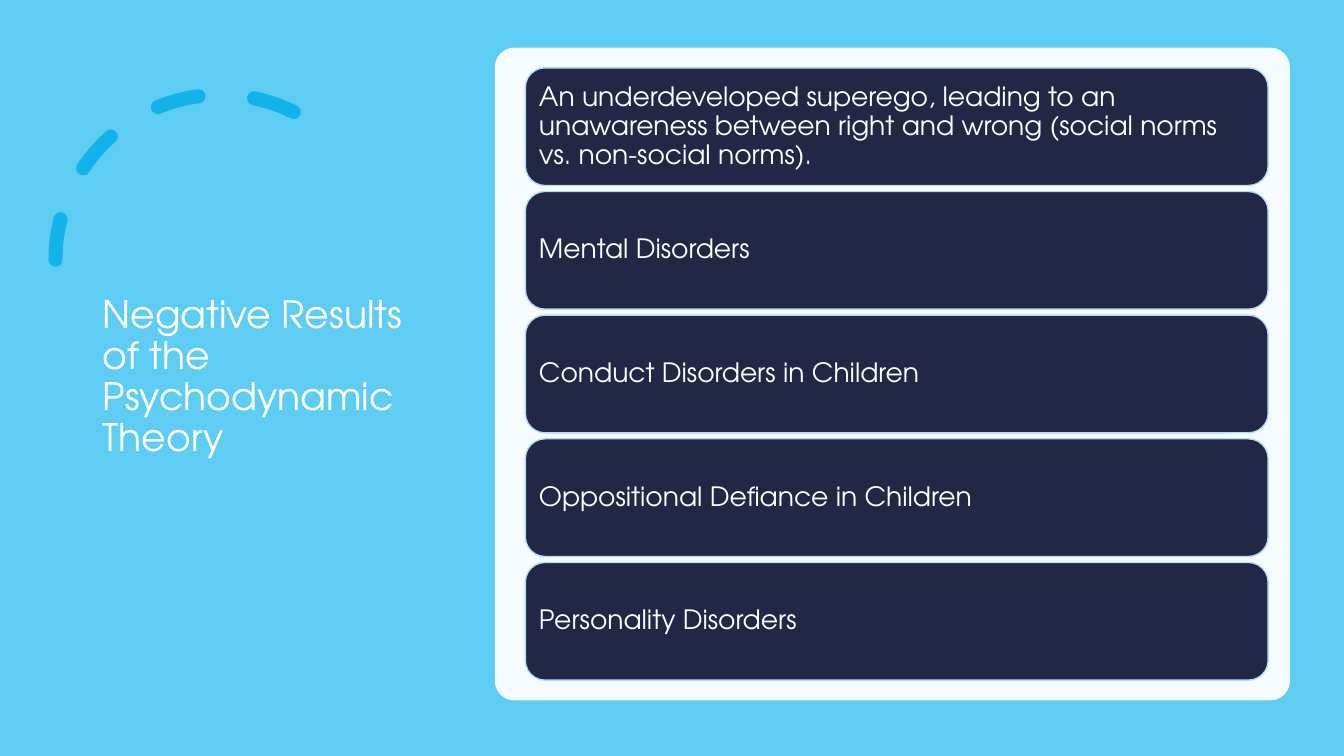
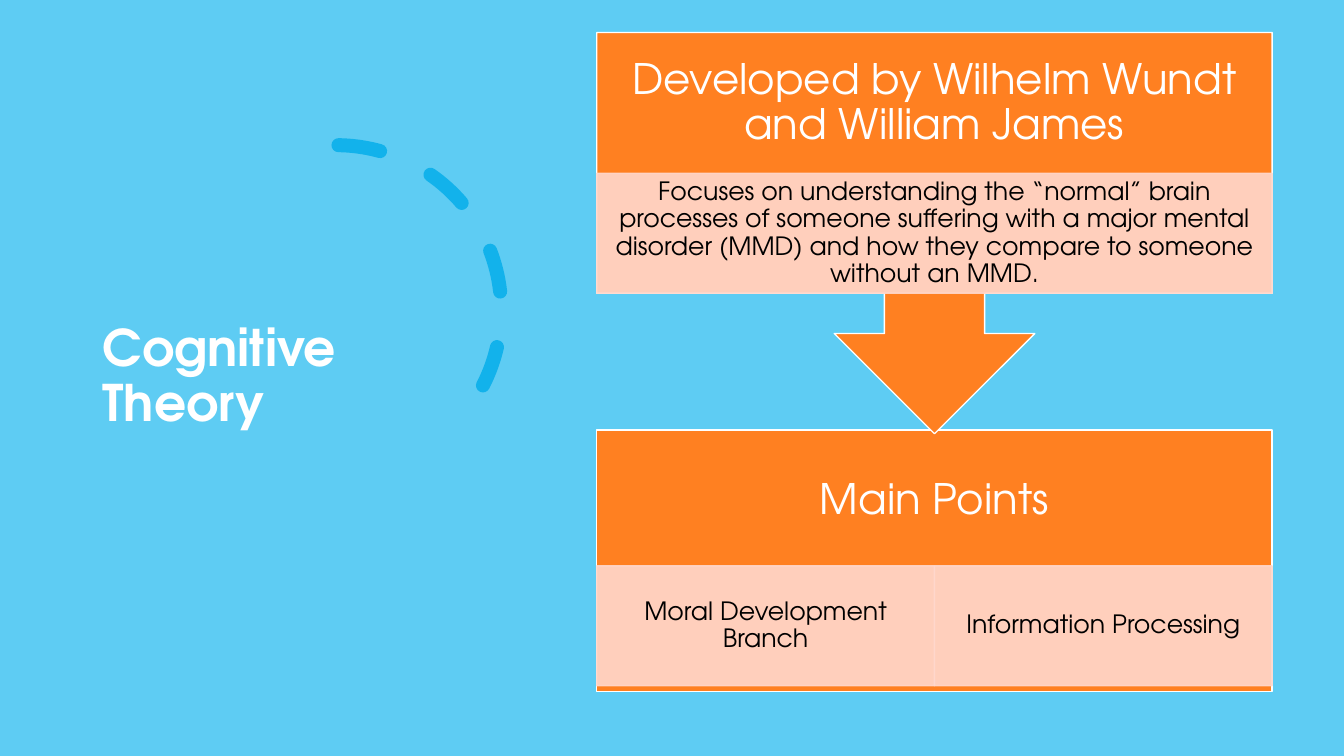
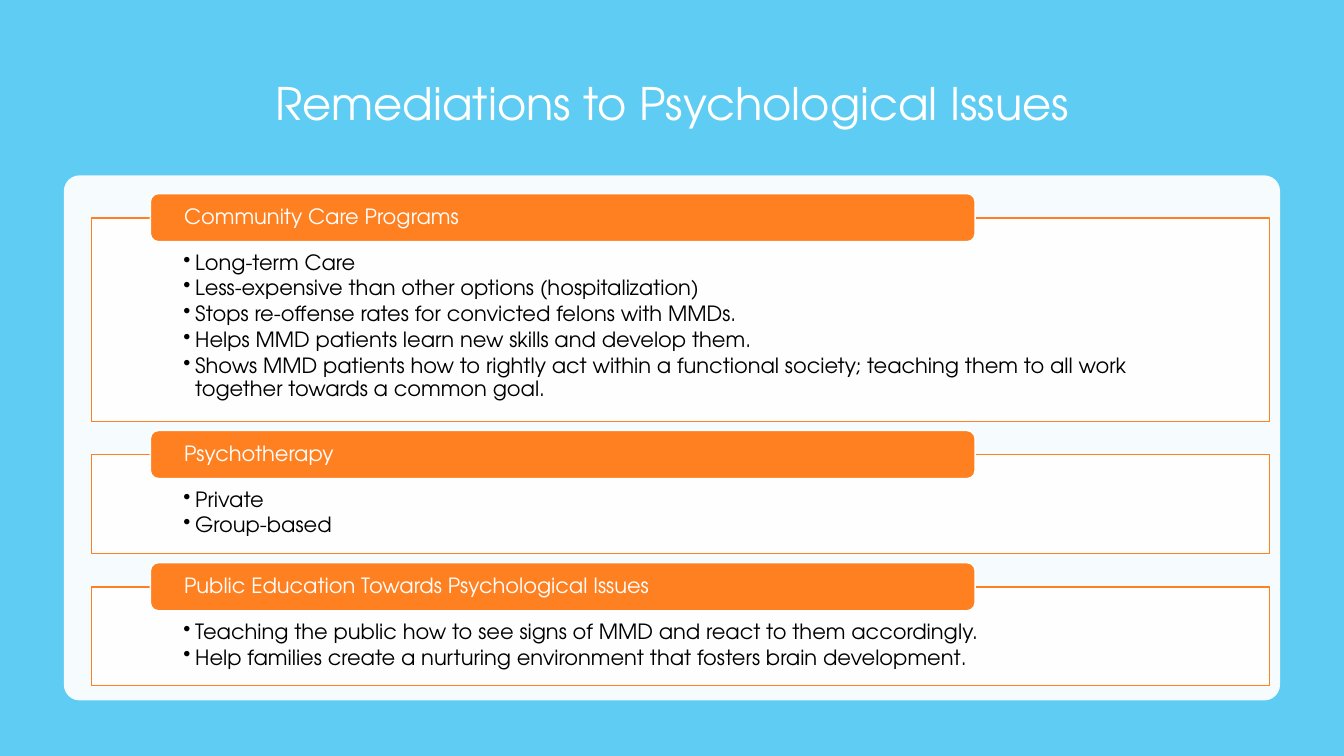
from collections import namedtuple
from dataclasses import dataclass
from lxml.etree import SubElement
from pptx import Presentation
from pptx.dml.color import RGBColor
from pptx.enum.dml import MSO_LINE
from pptx.enum.shapes import MSO_SHAPE
from pptx.enum.text import MSO_ANCHOR, PP_ALIGN
from pptx.oxml.ns import qn
from pptx.util import Cm, Pt


@dataclass(frozen=True)
class Theme:
    font: str = "TeX Gyre Adventor"
    sky: str = "5ECCF3"
    arc: str = "12B2EB"
    navy: str = "212745"
    edge: str = "B4DCFA"
    orange: str = "FF8021"
    peach: str = "FFD8CD"
    white: str = "FFFFFF"
    black: str = "000000"
    side: int = 27
    strong: int = 36
    wide: int = 32
    bar: int = 19
    head: int = 30
    cell: int = 18
    item: int = 15
    leading: float = 0.9


THEME = Theme()
Box = namedtuple("Box", "x y w h")  # centimetres
SIDE = Box(2.34, 1.78, 8.2, 15.47)
TOP = Box(2.34, 1.27, 29.21, 2.79)
TITLE_PAD = (0.25, 0.13, 0.25, 0.13)


def rgb(code):
    return RGBColor.from_string(code)


def add_page(deck):
    page = deck.slides.add_slide(deck.slide_layouts[6])
    fill = page.background.fill
    fill.solid()
    fill.fore_color.rgb = rgb(THEME.sky)
    return page


def add_box(page, kind, box, fill, line=None, alpha=100):
    """Draw a filled preset shape; alpha is its opacity in percent."""
    shape = page.shapes.add_shape(kind, *map(Cm, box))
    shape.shadow.inherit = False
    shape.fill.solid()
    shape.fill.fore_color.rgb = rgb(fill)
    if line:
        shape.line.color.rgb = rgb(line)
        shape.line.width = Pt(1)
    else:
        shape.line.fill.background()
    if alpha < 100:
        for color in shape.element.spPr.iter(qn("a:srgbClr")):
            if color.get("val") == fill:
                SubElement(color, qn("a:alpha"), val=str(alpha * 1000))
    return shape


def write(shape, lines, size, color, pad, align=PP_ALIGN.LEFT,
          anchor=MSO_ANCHOR.MIDDLE, bold=False):
    """Set one paragraph per line; pad is left, top, right, bottom in cm."""
    frame = shape.text_frame
    frame.word_wrap = True
    frame.vertical_anchor = anchor
    (frame.margin_left, frame.margin_top,
     frame.margin_right, frame.margin_bottom) = map(Cm, pad)
    frame.text = "\n".join(lines)
    for para in frame.paragraphs:
        para.alignment = align
        para.line_spacing = THEME.leading
        for run in para.runs:
            font = run.font
            font.name, font.size, font.bold = THEME.font, Pt(size), bold
            font.color.rgb = rgb(color)


def add_label(page, box, text, size, pad, align=PP_ALIGN.CENTER, bold=False):
    label = page.shapes.add_textbox(*map(Cm, box))
    write(label, [text], size, THEME.white, pad, align, bold=bold)


def add_arc(page, x, y, turn=0, flip=False):
    arc = page.shapes.add_shape(
        MSO_SHAPE.ARC, Cm(x), Cm(y), Cm(8.31), Cm(8.31))
    arc.shadow.inherit = False
    arc.adjustments[0], arc.adjustments[1] = 146.13, 0
    arc.rotation = turn
    arc.fill.background()
    arc.line.color.rgb = rgb(THEME.arc)
    arc.line.width = Pt(10)
    arc.line.dash_style = MSO_LINE.DASH
    props = arc.element.spPr
    props.find(qn("a:ln")).set("cap", "rnd")
    if flip:
        props.find(qn("a:xfrm")).set("flipH", "1")


def add_card(page, box):
    card = add_box(page, MSO_SHAPE.ROUNDED_RECTANGLE, box, THEME.white,
                   alpha=95)
    card.adjustments[0] = 0.03


def add_bars(page, box, texts, gap=0.15):
    high = (box.h - gap * (len(texts) - 1)) / len(texts)
    for row, text in enumerate(texts):
        place = Box(box.x, box.y + row * (high + gap), box.w, high)
        bar = add_box(page, MSO_SHAPE.ROUNDED_RECTANGLE, place,
                      THEME.navy, THEME.edge)
        write(bar, [text], THEME.bar, THEME.white, (0.2,) * 4)


def add_stage(page, box, kind, head, drop, texts):
    """Draw a block with a heading and, drop below its top, a row of cells."""
    block = add_box(page, kind, box, THEME.orange, THEME.white)
    if kind == MSO_SHAPE.UP_ARROW_CALLOUT:
        block.rotation = 180
    add_label(page, box._replace(h=3.56), head, THEME.head, (0.58,) * 4)
    wide = box.w / len(texts)
    for col, text in enumerate(texts):
        place = Box(box.x + col * wide, box.y + drop, wide, 3.02)
        cell = add_box(page, MSO_SHAPE.RECTANGLE, place,
                       THEME.peach, THEME.peach, 90)
        write(cell, [text], THEME.cell, THEME.black,
              (0.36, 0.08, 0.36, 0.08), PP_ALIGN.CENTER)


def add_bullets(shape):
    for para in shape.text_frame.paragraphs:
        para.space_after = Pt(2.25)
    for props in shape.element.iter(qn("a:pPr")):
        props.set("marL", str(Cm(0.3)))
        props.set("indent", str(-Cm(0.3)))
        SubElement(props, qn("a:buChar"), char="•")


def add_panel(page, box, head, items):
    """Draw a framed list with a tab that straddles its top edge."""
    panel = add_box(page, MSO_SHAPE.RECTANGLE, box, THEME.white,
                    THEME.orange, 90)
    write(panel, items, THEME.item, THEME.black, (2.31, 0.86, 2.31, 0.3),
          anchor=MSO_ANCHOR.TOP)
    add_bullets(panel)
    place = Box(box.x + 1.48, box.y - 0.61, box.w * 0.7, 1.21)
    tab = add_box(page, MSO_SHAPE.ROUNDED_RECTANGLE, place,
                  THEME.orange, THEME.white)
    write(tab, [head], THEME.item, THEME.white, (0.79, 0, 0.79, 0))


def build_results(deck):
    page = add_page(deck)
    add_arc(page, 1.4, 2.39, flip=True)
    add_label(page, SIDE, "Negative Results of the Psychodynamic Theory",
              THEME.side, TITLE_PAD, PP_ALIGN.LEFT)
    card = Box(12.47, 1.2, 20.04, 16.45)
    add_card(page, card)
    add_bars(page, Box(card.x + 0.77, card.y + 0.51, 18.72, 15.43), [
        "An underdeveloped superego, leading to an unawareness between right "
        "and wrong (social norms vs. non-social norms).",
        "Mental Disorders",
        "Conduct Disorders in Children",
        "Oppositional Defiance in Children",
        "Personality Disorders",
    ])


def build_theory(deck):
    page = add_page(deck)
    add_arc(page, 4.32, 3.66, turn=27.2)
    add_label(page, SIDE, "Cognitive Theory", THEME.strong, TITLE_PAD,
              PP_ALIGN.LEFT, bold=True)
    flow = Box(15.04, 0.82, 17.02, 16.6)
    add_stage(page, Box(flow.x, flow.y + 10.02, flow.w, 6.58),
              MSO_SHAPE.RECTANGLE, "Main Points", 3.42,
              ["Moral Development Branch", "Information Processing"])
    add_stage(page, flow._replace(h=10.11), MSO_SHAPE.UP_ARROW_CALLOUT,
              "Developed by Wilhelm Wundt and William James", 3.55,
              ["Focuses on understanding the “normal” brain processes of "
               "someone suffering with a major mental disorder (MMD) and how "
               "they compare to someone without an MMD."])


def build_remedies(deck):
    page = add_page(deck)
    add_label(page, TOP, "Remediations to Psychological Issues",
              THEME.wide, TITLE_PAD)
    card = Box(1.61, 4.42, 30.65, 13.23)
    add_card(page, card)
    groups = [
        ("Community Care Programs", 5.13, [
            "Long-term Care",
            "Less-expensive than other options (hospitalization)",
            "Stops re-offense rates for convicted felons with MMDs.",
            "Helps MMD patients learn new skills and develop them.",
            "Shows MMD patients how to rightly act within a functional "
            "society; teaching them to all work together towards a common "
            "goal.",
        ]),
        ("Psychotherapy", 2.49, ["Private", "Group-based"]),
        ("Public Education Towards Psychological Issues", 2.49, [
            "Teaching the public how to see signs of MMD and react to them "
            "accordingly.",
            "Help families create a nurturing environment that fosters brain "
            "development.",
        ]),
    ]
    top = card.y + 1.07
    for head, high, items in groups:
        add_panel(page, Box(card.x + 0.7, top, 29.69, high), head, items)
        top += high + 0.84


def main():
    deck = Presentation()
    deck.slide_width, deck.slide_height = Cm(33.87), Cm(19.05)
    for build in (build_results, build_theory, build_remedies):
        build(deck)
    deck.save("out.pptx")


if __name__ == "__main__":
    main()
